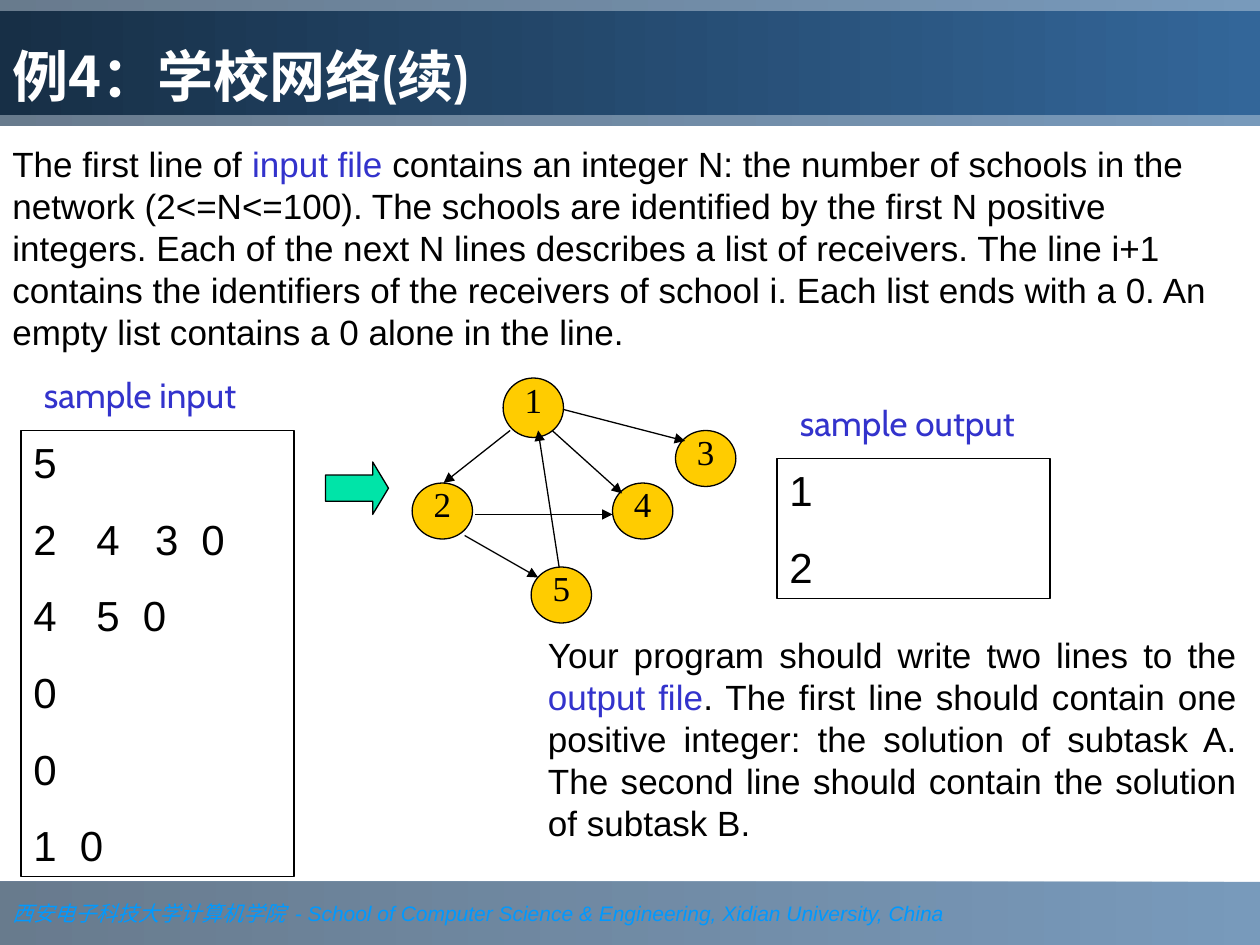
"""Build the slide of the school network example."""
from lxml import etree
from pptx import Presentation, util as u
from pptx.dml.color import RGBColor
from pptx.enum import shapes, text
from pptx.oxml.ns import qn

Pt = u.Pt
BLACK, BLUE, WHITE = "000000", "3333CC", "FFFFFF"
HAN = "Noto Sans CJK SC"


def rgb(value):
    return RGBColor.from_string(value)


def write(paragraph, parts, size, bold=False, italic=False):
    for words, font, colour in parts:
        run = paragraph.add_run()
        run.text = words
        run.font.size, run.font.name = Pt(size), font
        run.font.bold, run.font.italic = bold, italic
        run.font.color.rgb = rgb(colour)
        latin = run.font._element.find(qn("a:latin"))
        latin.addnext(etree.Element(qn("a:ea"), typeface=HAN))


presentation = Presentation()
presentation.slide_width, presentation.slide_height = Pt(720), Pt(540)
slide = presentation.slides.add_slide(presentation.slide_layouts[5])

title = slide.shapes.title
title.left, title.top, title.width, title.height = Pt(0), Pt(6), Pt(720), Pt(60)
title.text_frame.vertical_anchor = text.MSO_ANCHOR.BOTTOM
title.text_frame.auto_size = text.MSO_AUTO_SIZE.NONE
title.text_frame.paragraphs[0].alignment = text.PP_ALIGN.LEFT
write(title.text_frame.paragraphs[0],
      [("例4：学校", HAN, WHITE), ("网络(续)", "Cabin", WHITE)], 32, bold=True)

footer, header = [
    slide.shapes.add_shape(shapes.MSO_SHAPE.RECTANGLE, 0, Pt(top), Pt(720), Pt(height))
    for top, height in [(504, 36), (0, 72)]
]
for band, dark, alpha in [(footer, "1B3753", 66), (header, "1B3753", 66), (title, "172F46", 100)]:
    band.fill.gradient()
    band.fill.gradient_angle = 180
    for stop, colour in zip(band.fill.gradient_stops, ["336699", dark]):
        stop.color.rgb = rgb(colour)
    if alpha < 100:
        band.shadow.inherit = False
        band.line.fill.background()
        for element in band._element.spPr.iter(qn("a:srgbClr")):
            etree.SubElement(element, qn("a:alpha"), val=str(alpha * 1000))
        title._element.addprevious(band._element)

footer.text_frame.word_wrap = False
footer.text_frame.vertical_anchor = text.MSO_ANCHOR.MIDDLE
footer.text_frame.paragraphs[0].alignment = text.PP_ALIGN.LEFT
write(footer.text_frame.paragraphs[0], [
    ("西安电子科技大学计算机学院 ", "Times New Roman", "0099FF"),
    (" - School of Computer Science & Engineering, Xidian University, China", "Arial", "0099FF"),
], 12, italic=True)

arrow = slide.shapes.add_shape(shapes.MSO_SHAPE.RIGHT_ARROW, Pt(186), Pt(264), Pt(36), Pt(30))
arrow.adjustments[0], arrow.adjustments[1] = 0.5, 0.3
arrow.shadow.inherit = False
arrow.fill.solid()
arrow.fill.fore_color.rgb = rgb("00E4A8")
arrow.line.color.rgb = rgb(BLACK)
arrow.line.width = Pt(0.75)

passages = [
    (0, 78, 720, 127.5, text.PP_ALIGN.LEFT, [
        ("The first line of ", "Arial", BLACK), ("input file", "Arial", BLUE),
        (" contains an integer N: the number of schools in the network (2<=N<=100). "
         "The schools are identified by the first N positive integers. Each of the next N "
         "lines describes a list of receivers. The line i+1 contains the identifiers of the "
         "receivers of school i. Each list ends with a 0. An empty list contains a 0 alone "
         "in the line.", "Arial", BLACK)]),
    (306, 358.5, 408, 127.5, text.PP_ALIGN.JUSTIFY, [
        ("Your program should write two lines to the ", "Arial", BLACK),
        ("output file", "Arial", BLUE),
        (". The first line should contain one positive integer: the solution of subtask A. "
         "The second line should contain the solution of subtask B.", "Arial", BLACK)]),
    (18, 210, 150, 31.5, text.PP_ALIGN.LEFT, [("sample input", "Cabin", BLUE)]),
    (450, 226, 156, 31.5, text.PP_ALIGN.LEFT, [("sample output", "Cabin", BLUE)]),
]
for left, top, width, height, alignment, parts in passages:
    box = slide.shapes.add_textbox(Pt(left), Pt(top), Pt(width), Pt(height))
    box.text_frame.word_wrap = True
    paragraph = box.text_frame.paragraphs[0]
    paragraph.alignment = alignment
    write(paragraph, parts, 20)

samples = [
    (12, 246, 255, [("5", []), ("2\t4\t3\t0", [36, 69.5, 96]), ("4\t5\t0", [36, 62.5]),
                    ("0", []), ("0", []), ("1\t0", [26.5])]),
    (444, 262, 80, [("1", []), ("2", [])]),
]
for left, top, height, rows in samples:
    box = slide.shapes.add_shape(
        shapes.MSO_SHAPE.RECTANGLE, Pt(left), Pt(top), Pt(156), Pt(height))
    box.shadow.inherit = False
    box.fill.background()
    box.line.color.rgb = rgb(BLACK)
    box.line.width = Pt(0.75)
    box.text_frame.vertical_anchor = text.MSO_ANCHOR.TOP
    for index, (row, stops) in enumerate(rows):
        paragraph = box.text_frame.add_paragraph() if index else box.text_frame.paragraphs[0]
        if stops:
            tabs = etree.SubElement(paragraph._p.get_or_add_pPr(), qn("a:tabLst"))
            for stop in stops:
                etree.SubElement(tabs, qn("a:tab"), pos=str(Pt(stop)), algn="l")
        paragraph.alignment = text.PP_ALIGN.LEFT
        if index:
            paragraph.space_before = Pt(15)
        write(paragraph, [(row, "Arial", BLACK)], 24)

graph = slide.shapes.add_group_shape()
schools = [("5", 303.5, 324, 32), ("4", 350, 276, 32), ("2", 235.5, 276, 32),
           ("3", 386, 246, 32), ("1", 287.5, 216, 34)]
for name, left, top, height in schools:
    school = graph.shapes.add_shape(
        shapes.MSO_SHAPE.OVAL, Pt(left), Pt(top), Pt(34.5), Pt(height))
    school.shadow.inherit = False
    school.fill.solid()
    school.fill.fore_color.rgb = rgb("FFCC00")
    school.line.color.rgb = rgb(BLACK)
    school.line.width = Pt(0.75)
    frame = school.text_frame
    frame.margin_left = frame.margin_right = frame.margin_bottom = 0
    frame.margin_top = Pt(3)
    frame.vertical_anchor = text.MSO_ANCHOR.TOP
    frame.paragraphs[0].alignment = text.PP_ALIGN.CENTER
    frame.paragraphs[0].line_spacing = 0.64
    write(frame.paragraphs[0], [(name, "Times New Roman", BLACK)], 20)

links = [(291.5, 246, 253.5, 276), (315.5, 246, 355.5, 282), (271.5, 294, 350, 294),
         (265.5, 306, 307.5, 330), (319.5, 324, 307.5, 246), (322, 234, 391.5, 252)]
for link in links:
    connector = graph.shapes.add_connector(
        shapes.MSO_CONNECTOR.STRAIGHT, *[Pt(value) for value in link])
    connector.line.color.rgb = rgb(BLACK)
    connector.line.width = Pt(0.75)
    etree.SubElement(connector.line._get_or_add_ln(), qn("a:tailEnd"), type="triangle")
    etree.SubElement(connector._element.spPr, qn("a:effectLst"))

presentation.save("out.pptx")
